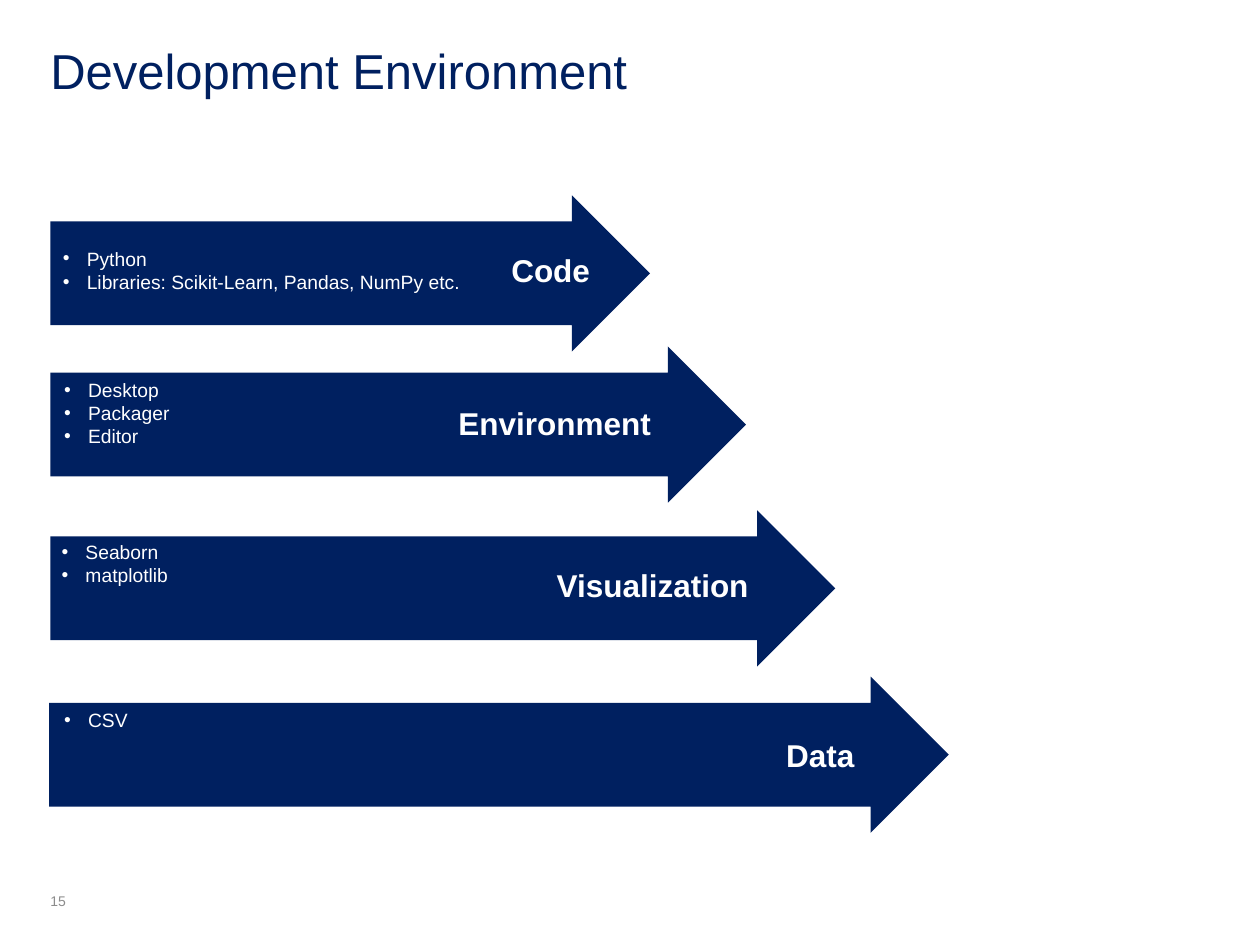
"""Build a slide with four stacked arrows describing a development environment."""
from pptx import Presentation
from pptx.dml.color import RGBColor
from pptx.enum import shapes, text
from pptx.oxml import parse_xml
from pptx.oxml.ns import nsdecls
from pptx.util import Inches, Pt

NAVY = RGBColor(0x00, 0x20, 0x60)
WHITE = RGBColor(0xFF, 0xFF, 0xFF)
GREY = RGBColor(0x8C, 0x8C, 0x8C)
TITLE = {"size": Pt(28)}
BODY = {"size": Pt(11)}
LABEL = {"size": Pt(18), "bold": True}
NUMBER = {"size": Pt(8)}
ARROW_HEIGHT = 1.24
INDENT = 0.19

ARROWS = [
    ((0.4, 1.55, 4.76), (0.4, 1.91, 4.15, 0.67), (3.96, 1.94, 0.83, 0.4), "Code",
     ["Python", "Libraries: Scikit-Learn, Pandas, NumPy etc."]),
    ((0.4, 2.75, 5.52), (0.41, 2.95, 4.91, 0.66), (3.54, 3.16, 1.74, 0.4), "Environment",
     ["Desktop", "Packager", "Editor"]),
    ((0.4, 4.05, 6.23), (0.39, 4.24, 5.9, 0.47), (4.32, 4.44, 1.74, 0.4), "Visualization",
     ["Seaborn", "matplotlib"]),
    ((0.39, 5.37, 7.14), (0.41, 5.57, 7.01, 0.29), (6.14, 5.79, 0.75, 0.4), "Data",
     ["CSV"]),
]


def add_bullet(p):
    """Give a paragraph a hanging round bullet."""
    pPr = p._p.get_or_add_pPr()
    pPr.set("marL", str(Inches(INDENT)))
    pPr.set("indent", str(Inches(-INDENT)))
    pPr.append(parse_xml(f'<a:buFont {nsdecls("a")} typeface="Arial"/>'))
    pPr.append(parse_xml(f'<a:buChar {nsdecls("a")} char="•"/>'))


def add_text(s, box, lines, style, color, bullets=False, wrap=True, inset=True,
             anchor=text.MSO_ANCHOR.TOP):
    """Add a text box with one paragraph per line."""
    tf = s.shapes.add_textbox(*map(Inches, box)).text_frame
    tf.word_wrap = wrap
    tf.vertical_anchor = anchor
    if not inset:
        tf.margin_left = tf.margin_top = tf.margin_right = tf.margin_bottom = 0
    for i, line in enumerate(lines):
        p = tf.add_paragraph() if i else tf.paragraphs[0]
        if bullets:
            add_bullet(p)
        r = p.add_run()
        r.text = line
        r.font.name = "Arial"
        r.font.color.rgb = color
        for name, value in style.items():
            setattr(r.font, name, value)


def add_arrow(s, left, top, width):
    """Add a solid navy arrow pointing right."""
    sp = s.shapes.add_shape(shapes.MSO_SHAPE.RIGHT_ARROW,
                            *map(Inches, (left, top, width, ARROW_HEIGHT)))
    sp.adjustments[0] = 0.664
    sp.adjustments[1] = 0.5
    sp.shadow.inherit = False
    sp.fill.solid()
    sp.fill.fore_color.rgb = NAVY
    sp.line.fill.background()


def main():
    """Build and save the slide."""
    prs = Presentation()
    prs.slide_width, prs.slide_height = Inches(10), Inches(7.5)
    s = prs.slides.add_slide(prs.slide_layouts[6])
    add_text(s, (0.4, 7.09, 0.5, 0.13), ["15"], NUMBER, GREY, inset=False,
             anchor=text.MSO_ANCHOR.BOTTOM)
    add_text(s, (0.4, 0.32, 9.2, 0.51), ["Development Environment"], TITLE, NAVY,
             inset=False)
    for arrow, body_box, label_box, label, items in ARROWS:
        add_arrow(s, *arrow)
        add_text(s, body_box, items, BODY, WHITE, bullets=True)
        add_text(s, label_box, [label], LABEL, WHITE, wrap=False)
    prs.save("out.pptx")


if __name__ == "__main__":
    main()
